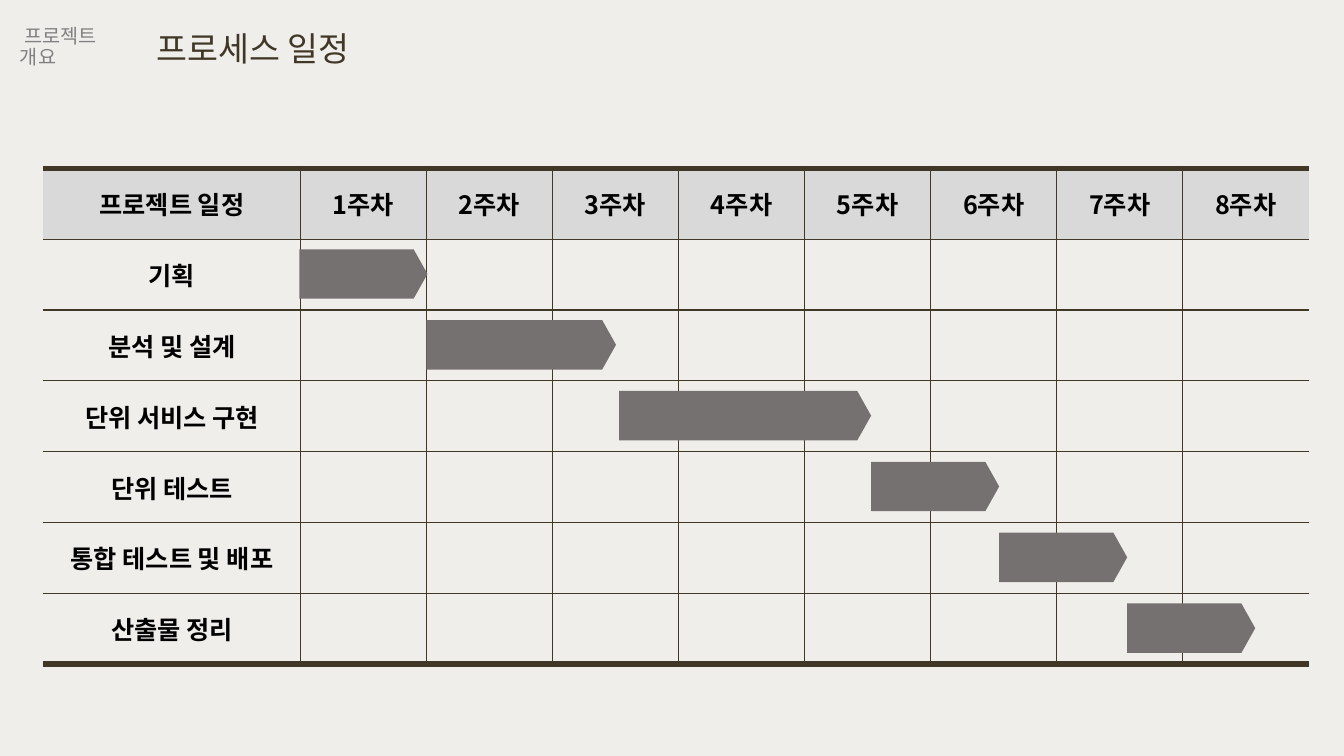
from pptx import Presentation
from pptx.dml.color import RGBColor
from pptx.enum.shapes import MSO_SHAPE
from pptx.enum.text import MSO_ANCHOR, MSO_AUTO_SIZE, PP_ALIGN
from pptx.oxml import parse_xml
from pptx.oxml.ns import nsdecls
from pptx.util import Inches, Pt

HUES = {"back": "EFEEEB", "line": "403726", "head": "D9D9D9",
        "bar": "767171", "text": "000000", "label": "808080"}
FONT = "Noto Sans CJK KR"
# Task, left edge and width of its bar
TASKS = [
    ("기획", 2.97, 1.27),
    ("분석 및 설계", 4.23, 1.88),
    ("단위 서비스 구현", 6.14, 2.5),
    ("단위 테스트", 8.64, 1.27),
    ("통합 테스트 및 배포", 9.91, 1.27),
    ("산출물 정리", 11.18, 1.27),
]
WEEKS = 8
LEFT, TOP, HIGH = 0.43, 1.67, 4.92
FIRST, WEEK = 2.55, 1.25
ROWS = len(TASKS) + 1
STEP = HIGH / ROWS


def write(frame, text, size=18, hue="text", bold=False, align=PP_ALIGN.LEFT, space=1.0):
    frame.word_wrap = True
    para = frame.paragraphs[0]
    para.alignment = align
    para.line_spacing = space
    run = para.add_run()
    run.text = text
    run.font.size = Pt(size)
    run.font.bold = bold
    run.font.name = FONT
    run.font.color.rgb = RGBColor.from_string(HUES[hue])
    east = parse_xml(f'<a:ea {nsdecls("a")} typeface="{FONT}"/>')
    run.font._element.find("{*}latin").addnext(east)


def edge(cell, sides):
    """Draw cell borders from (side, points) pairs; 0 points means no line."""
    for spot, (side, width) in enumerate(sides):
        fill = (f'<a:solidFill><a:srgbClr val="{HUES["line"]}"/></a:solidFill>'
                if width else "<a:noFill/>")
        line = parse_xml(f'<a:ln{side} {nsdecls("a")} w="{Pt(width)}">{fill}</a:ln{side}>')
        cell._tc.get_or_add_tcPr().insert(spot, line)


deck = Presentation()
deck.slide_width, deck.slide_height = Inches(13.33), Inches(7.5)
slide = deck.slides.add_slide(deck.slide_layouts[5])
slide.background.fill.solid()
slide.background.fill.fore_color.rgb = RGBColor.from_string(HUES["back"])

# Schedule grid
grid = slide.shapes.add_table(ROWS, WEEKS + 1, Inches(LEFT), Inches(TOP),
                              Inches(FIRST + WEEKS * WEEK), Inches(HIGH)).table
grid.first_row = grid.horz_banding = False
for col, column in enumerate(grid.columns):
    column.width = Inches(WEEK if col else FIRST)
for row in grid.rows:
    row.height = Inches(STEP)

heads = ["프로젝트 일정"] + [f"{week}주차" for week in range(1, WEEKS + 1)]
for row in range(ROWS):
    for col in range(WEEKS + 1):
        cell = grid.cell(row, col)
        cell.vertical_anchor = MSO_ANCHOR.MIDDLE
        if row == 0:
            cell.fill.solid()
            cell.fill.fore_color.rgb = RGBColor.from_string(HUES["head"])
        else:
            cell.fill.background()
        if row == 0 or col == 0:
            text = heads[col] if row == 0 else TASKS[row - 1][0]
            write(cell.text_frame, text, bold=True, align=PP_ALIGN.CENTER)
        edge(cell, [("L", 1 if col else 0),
                    ("R", 1 if col < WEEKS else 0),
                    ("T", 1 if row else 4.5),
                    ("B", 1 if row < ROWS - 1 else 4.5)])

# Task bars
for row, (task, left, width) in enumerate(TASKS, 1):
    bar = slide.shapes.add_shape(MSO_SHAPE.PENTAGON, Inches(left),
                                 Inches(TOP + row * STEP + 0.1),
                                 Inches(width), Inches(0.49))
    bar.adjustments[0] = 0.28
    bar.shadow.inherit = False
    bar.fill.solid()
    bar.fill.fore_color.rgb = RGBColor.from_string(HUES["bar"])
    bar.line.fill.background()

# Title and section label
title = slide.shapes.title
title.left, title.top = Inches(1.38), Inches(0.12)
title.width, title.height = Inches(2.64), Inches(0.77)
write(title.text_frame, " 프로세스 일정", size=24, hue="line", space=0.9)
label = slide.shapes.add_textbox(Inches(0.1), Inches(0.17), Inches(1.36), Inches(0.61))
write(label.text_frame, " 프로젝트 개요", size=14, hue="label", space=0.9)
for box in (title, label):
    box.text_frame.auto_size = MSO_AUTO_SIZE.NONE
    box.text_frame.vertical_anchor = MSO_ANCHOR.MIDDLE

deck.save("out.pptx")
